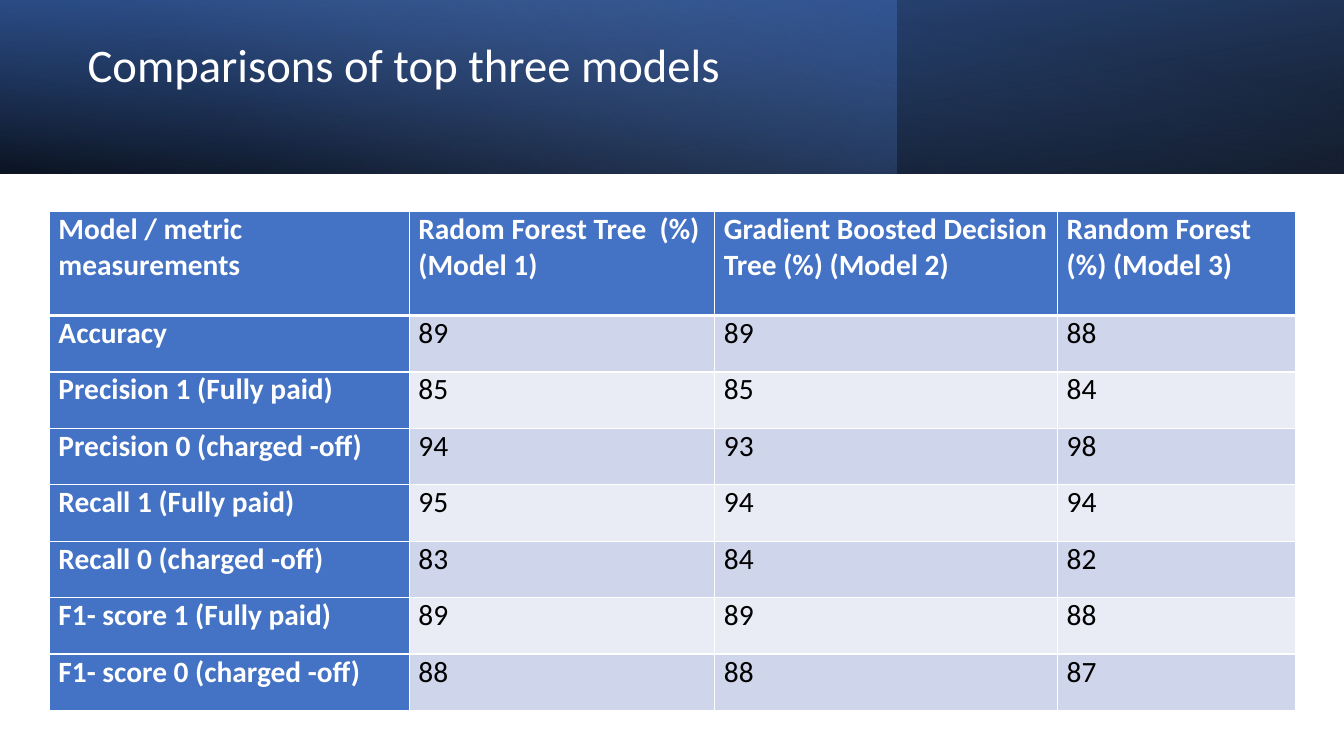
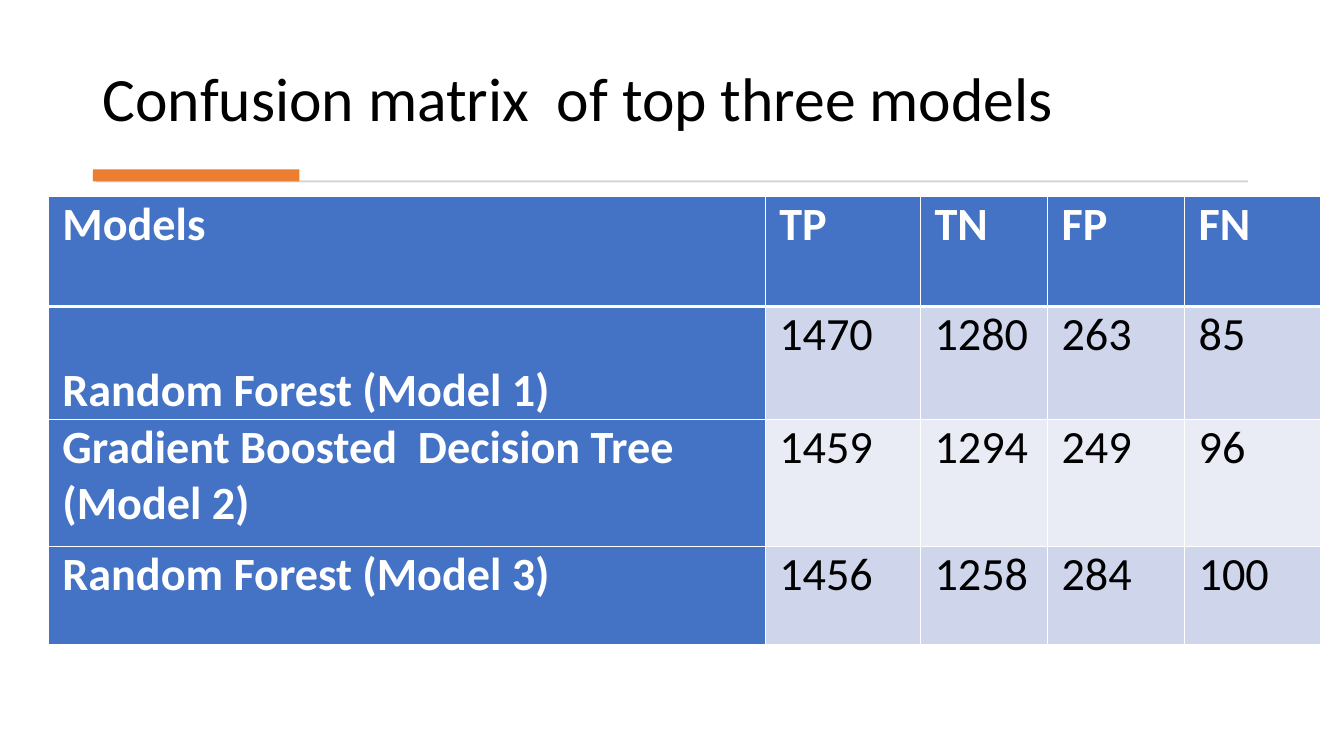
import pptx
import pptx.util
import pptx.oxml
import pptx.oxml.ns
import pptx.dml.color
import pptx.enum.shapes
import pptx.enum.text

Inches = pptx.util.Inches
Pt = pptx.util.Pt
qn = pptx.oxml.ns.qn

FONT = "Calibri"
COLORS = {
    "white": "FFFFFF",
    "black": "000000",
    "blue": "4472C4",
    "deep_blue": "2F5597",
    "pale_blue": "8FAADC",
    "band_dark": "CFD5EA",
    "band_light": "E9EBF5",
    "orange": "ED7D31",
    "gray": "D5D5D5",
}


def rgb(name):
    return pptx.dml.color.RGBColor.from_string(COLORS[name])


# Text
def add_run(p, text, size, color, bold=False):
    r = p.add_run()
    r.text = text
    r.font.name = FONT
    r.font.size = Pt(size)
    r.font.bold = bold
    r.font.color.rgb = rgb(color)


def add_title(s, text, box, size, color, anchor):
    tf = s.shapes.add_textbox(*map(Inches, box)).text_frame
    tf.word_wrap = True
    tf.vertical_anchor = anchor
    p = tf.paragraphs[0]
    p.line_spacing = 0.9
    add_run(p, text, size, color)


# Rectangles
def add_rect(s, box, color=None):
    sp = s.shapes.add_shape(pptx.enum.shapes.MSO_SHAPE.RECTANGLE, *map(Inches, box))
    sp.shadow.inherit = False
    sp.line.fill.background()
    if color:
        sp.fill.solid()
        sp.fill.fore_color.rgb = rgb(color)
    return sp


def add_gradient_rect(s, box, stops, angle, flip=False, rotation=0):
    """Stops are (position %, colour, opacity %); the angle runs clockwise."""
    sp = add_rect(s, box)
    sp.rotation = rotation
    spPr = sp._element.spPr
    if flip:
        spPr.find(qn("a:xfrm")).set("flipH", "1")
    gs = "".join(
        f'<a:gs pos="{pos * 1000}"><a:srgbClr val="{COLORS[color]}">'
        f'<a:alpha val="{alpha * 1000}"/></a:srgbClr></a:gs>'
        for pos, color, alpha in stops
    )
    grad = pptx.oxml.parse_xml(
        f'<a:gradFill {pptx.oxml.ns.nsdecls("a")} rotWithShape="1">'
        f'<a:gsLst>{gs}</a:gsLst><a:lin ang="{angle * 60000}" scaled="0"/></a:gradFill>'
    )
    spPr.find(qn("a:prstGeom")).addnext(grad)


# Tables
def set_borders(cell, top, bottom):
    tcPr = cell._tc.get_or_add_tcPr()
    widths = {"lnL": 1, "lnR": 1, "lnT": top, "lnB": bottom}
    for i, (side, width) in enumerate(widths.items()):
        tcPr.insert(i, pptx.oxml.parse_xml(
            f'<a:{side} {pptx.oxml.ns.nsdecls("a")} w="{Pt(width)}"><a:solidFill>'
            f'<a:srgbClr val="{COLORS["white"]}"/></a:solidFill></a:{side}>'
        ))


def fill_cell(cell, text, row, col, size, inset):
    heading = row == 0 or col == 0
    band = "band_dark" if row % 2 else "band_light"
    cell.fill.solid()
    cell.fill.fore_color.rgb = rgb("blue" if heading else band)
    cell.margin_left = cell.margin_right = Inches(inset)
    cell.margin_top = cell.margin_bottom = 0
    set_borders(cell, top=3 if row == 1 else 1, bottom=3 if row == 0 else 1)
    tf = cell.text_frame
    for i, line in enumerate(text.split("\n")):
        p = tf.add_paragraph() if i else tf.paragraphs[0]
        add_run(p, line, size, "white" if heading else "black", heading)


def add_table(s, left, top, widths, heights, rows, size, inset):
    frame = s.shapes.add_table(
        len(heights), len(widths), Inches(left), Inches(top),
        Inches(sum(widths)), Inches(sum(heights)),
    )
    table = frame.table
    for column, width in zip(table.columns, widths):
        column.width = Inches(width)
    for row, height in zip(table.rows, heights):
        row.height = Inches(height)
    for r, values in enumerate(rows):
        for c, value in enumerate(values):
            fill_cell(table.cell(r, c), str(value), r, c, size, inset)
    return table


# Slides
def build_comparison(s):
    band = (0, 0, 13.33, 1.72)
    add_gradient_rect(s, band, [(0, "black", 96), (100, "deep_blue", 100)], 100,
                      flip=True, rotation=180)
    add_gradient_rect(s, (0, 0, 8.89, 1.72),
                      [(0, "blue", 41), (74, "pale_blue", 0)], 140)
    add_gradient_rect(s, band, [(0, "black", 63), (78, "blue", 15)], 260, flip=True)
    add_title(s, "Comparisons of top three models", (0.77, 0.27, 11.47, 0.8),
              33.3, "white", pptx.enum.text.MSO_ANCHOR.MIDDLE)
    rows = [
        ("Model / metric measurements", "Radom Forest Tree  (%)\n(Model 1)",
         "Gradient Boosted Decision Tree (%) (Model 2)", "Random Forest (%) (Model 3)"),
        ("Accuracy", 89, 89, 88),
        ("Precision 1 (Fully paid)", 85, 85, 84),
        ("Precision 0 (charged -off)", 94, 93, 98),
        ("Recall 1 (Fully paid)", 95, 94, 94),
        ("Recall 0 (charged -off)", 83, 84, 82),
        ("F1- score 1 (Fully paid)", 89, 89, 88),
        ("F1- score 0 (charged -off)", 88, 88, 87),
    ]
    add_table(s, 0.49, 2.1, [3.57, 3.03, 3.4, 2.36], [1.03] + [0.56] * 7,
              rows, size=21, inset=0.09)


def build_confusion_matrix(s):
    add_title(s, "Confusion matrix  of top three models", (0.92, 0.28, 11.49, 1.11),
              44, "black", pptx.enum.text.MSO_ANCHOR.BOTTOM)
    add_rect(s, (0.95, 1.79, 11.43, 0.02), "gray")
    add_rect(s, (0.92, 1.68, 2.05, 0.12), "orange")
    rows = [
        ("Models", "TP", "TN", "FP", "FN"),
        ("Random Forest (Model 1)", 1470, 1280, 263, 85),
        ("Gradient Boosted  Decision Tree (Model 2)", 1459, 1294, 249, 96),
        ("Random Forest (Model 3)", 1456, 1258, 284, 100),
    ]
    table = add_table(s, 0.48, 1.95, [7.11, 1.54, 1.26, 1.36, 1.35],
                      [1.09, 1.12, 1.26, 0.98], rows, size=33, inset=0.14)
    table.cell(1, 0).vertical_anchor = pptx.enum.text.MSO_ANCHOR.BOTTOM


def main():
    prs = pptx.Presentation()
    prs.slide_width = Inches(13.33)
    prs.slide_height = Inches(7.5)
    for build in (build_comparison, build_confusion_matrix):
        build(prs.slides.add_slide(prs.slide_layouts[6]))
    prs.save("out.pptx")


if __name__ == "__main__":
    main()
